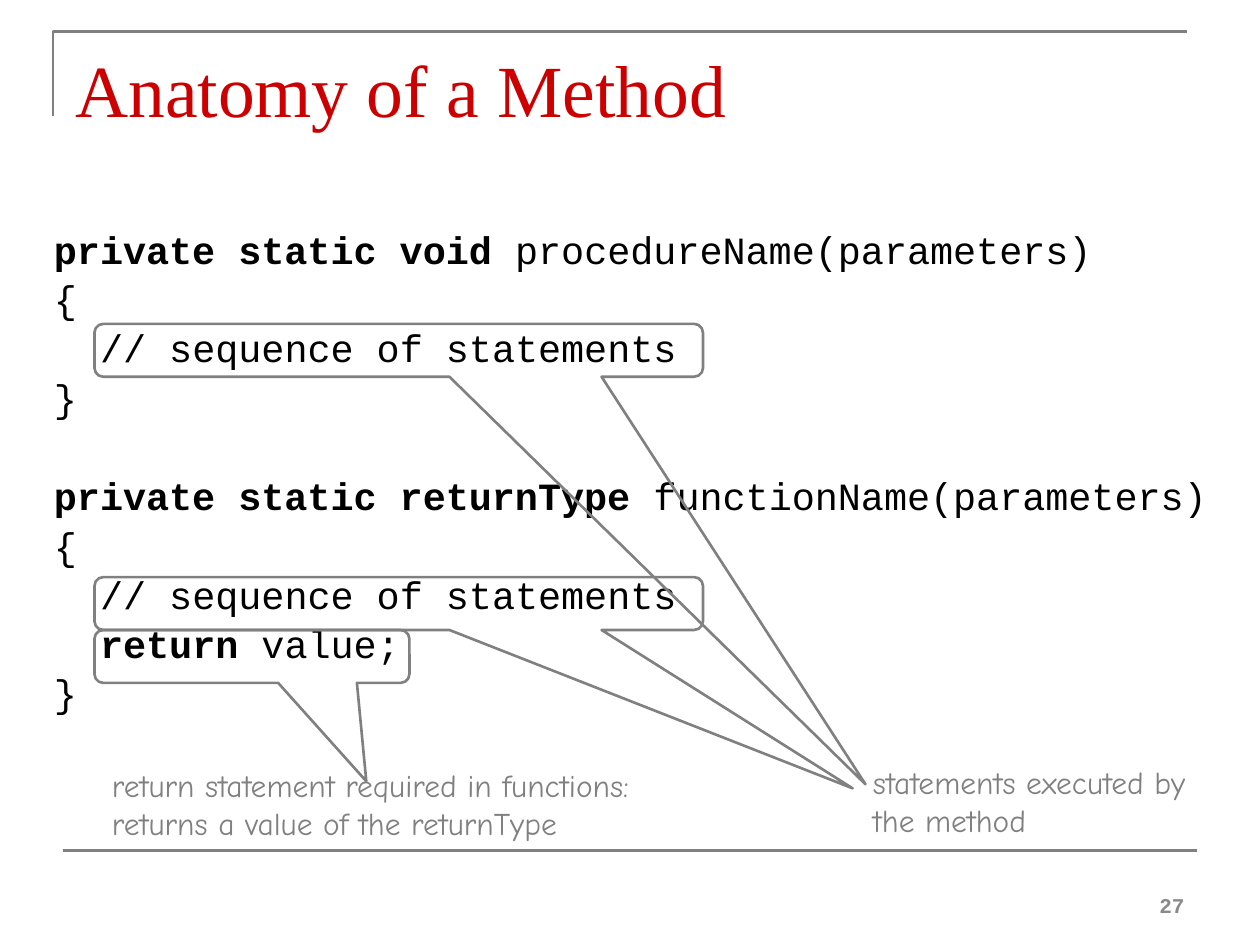
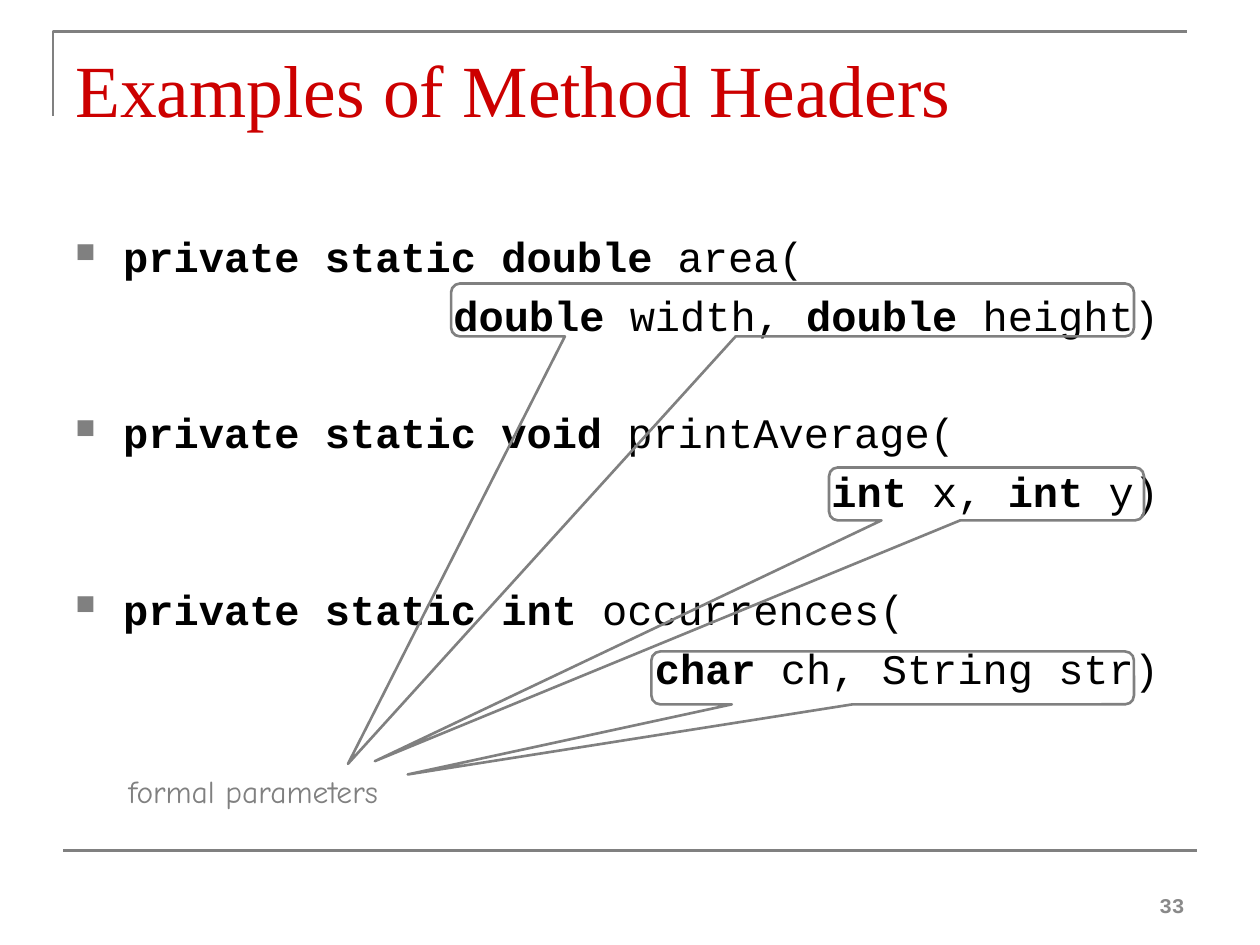
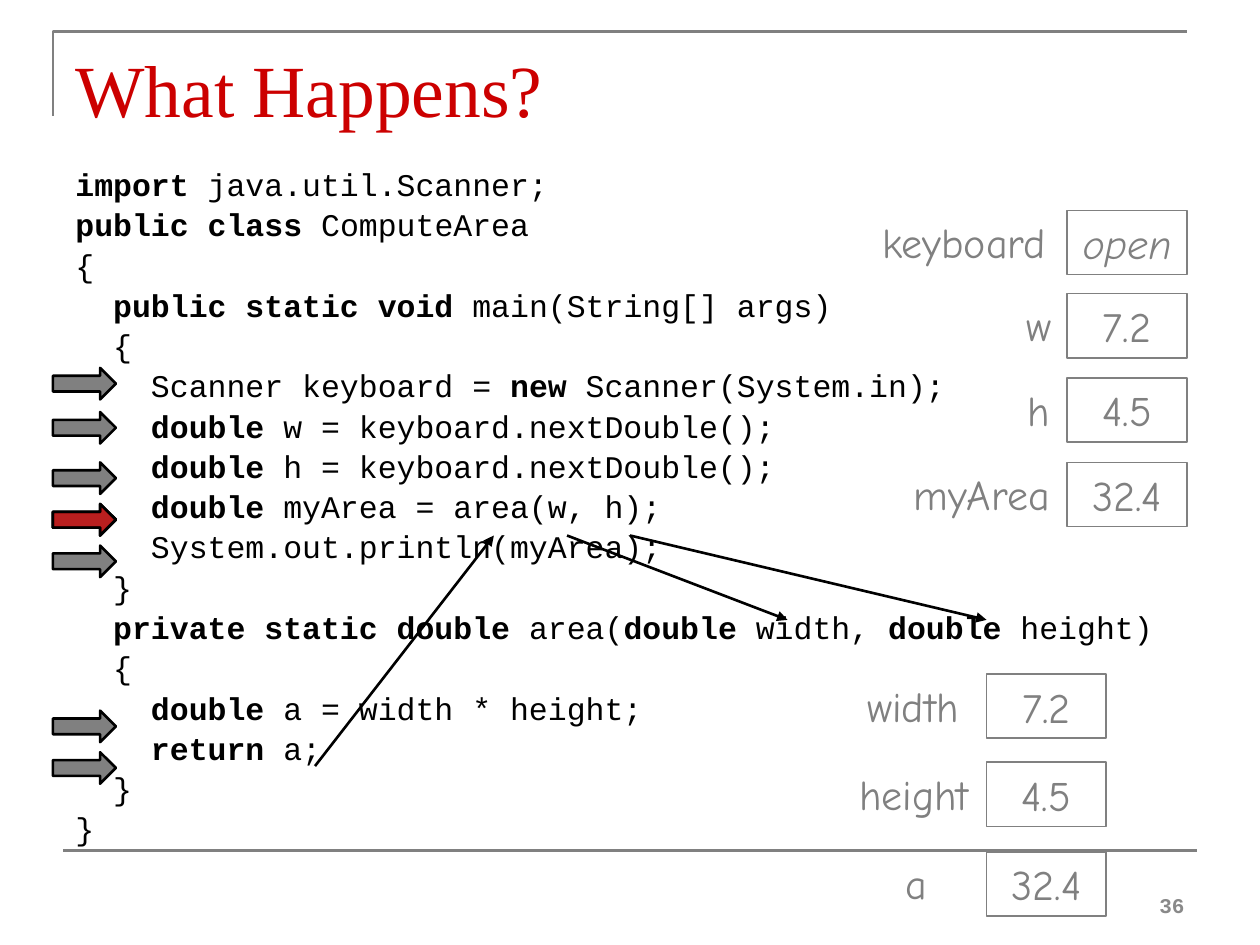
from lxml import etree
from pptx import Presentation
from pptx.dml.color import RGBColor
from pptx.enum.shapes import MSO_CONNECTOR, MSO_SHAPE
from pptx.enum.text import MSO_ANCHOR, PP_ALIGN
from pptx.oxml.ns import qn
from pptx.util import Inches, Pt

CALLOUT = MSO_SHAPE.ROUNDED_RECTANGULAR_CALLOUT
ARROW = MSO_SHAPE.RIGHT_ARROW
RECTANGLE = MSO_SHAPE.RECTANGLE
STRAIGHT = MSO_CONNECTOR.STRAIGHT
TOP, MIDDLE, BOTTOM = MSO_ANCHOR.TOP, MSO_ANCHOR.MIDDLE, MSO_ANCHOR.BOTTOM
LEFT, CENTER, RIGHT = PP_ALIGN.LEFT, PP_ALIGN.CENTER, PP_ALIGN.RIGHT

COLORS = {"title": "CC0000", "gray": "808080", "number": "898989", "black": "000000"}
CODE_FONT, NOTE_FONT, TITLE_FONT = "Courier New", "Comic Neue", "Times New Roman"
HANGING = 0.38

METHOD_CODE = """\
**private static void** procedureName(parameters)
{
  // sequence of statements
}

**private static returnType** functionName(parameters)
{
  // sequence of statements
  **return** value;
}"""

HEADER_CODE = """\
■ **private static double** area(
               **double** width, **double** height)

■ **private static void** printAverage(
                              **int** x, **int** y)

■ **private static int** occurrences(
                       **char** ch, String str)"""

AREA_CODE = """\
**import** java.util.Scanner;
**public class** ComputeArea
{
  **public static void** main(String[] args)
  {
    Scanner keyboard = **new** Scanner(System.in);
    **double** w = keyboard.nextDouble();
    **double** h = keyboard.nextDouble();
    **double** myArea = area(w, h);
    System.out.println(myArea);
  }
  **private static double** area(**double** width, **double** height)
  {
    **double** a = width * height;
    **return** a;
  }
}"""

PAGES = [
    {"title": "Anatomy of a Method", "number": "27", "code": METHOD_CODE,
     "area": (0.33, 1.75, 9.5, 4.92), "size": 22, "leading": 0.9,
     "callouts": [((0.75, 2.57, 4.83, 0.42), (0.767, 8.2)),
                  ((0.75, 4.58, 4.83, 0.42), (0.746, 3.492)),
                  ((0.75, 5, 2.5, 0.42), (0.363, 2.358))],
     "notes": [((6.83, 6.01, 3.04, 0.7), "statements executed by\nthe method"),
               ((0.79, 6.03, 4.81, 0.7),
                "return statement required in functions:\nreturns a value of the returnType")]},
    {"title": "Examples of Method Headers", "number": "33", "code": HEADER_CODE,
     "area": (0.5, 1.75, 9, 4.95), "size": 24, "leading": 1,
     "callouts": [((3.58, 2.25, 5.42, 0.42), (-0.651, 8.575)),
                  ((6.58, 3.71, 2.5, 0.42), (-1.942, 5.05)),
                  ((5.17, 5.17, 3.83, 0.42), (-1.005, 1.825))],
     "notes": [((0.92, 6.08, 2.38, 0.4), "formal parameters")]},
    {"title": "What Happens?", "number": "36", "code": AREA_CODE,
     "area": (0.5, 1.26, 9, 6), "size": 18, "leading": 0.9,
     "callouts": [], "notes": []},
]

VARIABLES = [
    ("keyboard", "open", 6.58, 2.14, 8.47, 1.67),
    ("w", "7.2", 7.77, 0.95, 8.47, 2.33),
    ("h", "4.5", 7.77, 0.95, 8.47, 3),
    ("myArea", "32.4", 7, 1.58, 8.47, 3.67),
    ("width", "7.2", 6.62, 1.25, 7.83, 5.35),
    ("height", "4.5", 6.42, 1.67, 7.83, 6.05),
    ("a", "32.4", 6.8, 0.95, 7.83, 6.76),
]


def add_text(page, area, text, font, size, color, align=LEFT, anchor=TOP):
    box = page.shapes.add_textbox(*map(Inches, area))
    frame = box.text_frame
    frame.word_wrap = True
    frame.vertical_anchor = anchor
    frame.text = text
    for para in frame.paragraphs:
        para.alignment = align
        para.font.name = font
        para.font.size = Pt(size)
        para.font.color.rgb = RGBColor.from_string(COLORS[color])
    return box


def outline(shape, color, width=1.5, fill=None):
    shape.shadow.inherit = False
    if fill:
        shape.fill.solid()
        shape.fill.fore_color.rgb = RGBColor.from_string(COLORS[fill])
    else:
        shape.fill.background()
    shape.line.color.rgb = RGBColor.from_string(COLORS[color])
    shape.line.width = Pt(width)


deck = Presentation()
deck.slide_width, deck.slide_height = Inches(10), Inches(7.5)

for content in PAGES:
    page = deck.slides.add_slide(deck.slide_layouts[6])

    builder = page.shapes.build_freeform(Inches(0.42), Inches(0.92))
    corner = [(Inches(0.42), Inches(0.25)), (Inches(9.42), Inches(0.25))]
    builder.add_line_segments(corner, close=False)
    outline(builder.convert_to_shape(), "gray")

    lines = [((0.5, 6.75, 9.5, 6.75), "gray", False)]
    if content["code"] == AREA_CODE:
        lines += [((4.5, 4.25, 6.25, 4.92), "black", True),
                  ((5, 4.25, 7.83, 4.92), "black", True),
                  ((2.5, 6.08, 3.92, 4.25), "black", True)]
    for ends, color, pointed in lines:
        line = page.shapes.add_connector(STRAIGHT, *map(Inches, ends))
        line.line.color.rgb = RGBColor.from_string(COLORS[color])
        line.line.width = Pt(1.5)
        if pointed:
            etree.SubElement(line.line._get_or_add_ln(), qn("a:tailEnd"), type="triangle")
        etree.SubElement(line._element.spPr, qn("a:effectLst"))

    add_text(page, (0.5, 0.3, 9, 1.25), content["title"], TITLE_FONT, 42, "title")

    size = content["size"]
    line_height = size * 1.2 * content["leading"]
    gap = size * 0.2
    rows = content["code"].split("\n")
    body = add_text(page, content["area"], "\n".join(row for row in rows if row),
                    CODE_FONT, size, "black")
    body.text_frame.margin_top = Inches(0.08)
    paragraphs = iter(body.text_frame.paragraphs)
    before = 0
    for row in rows:
        if not row:
            before += line_height + gap
            continue
        para = next(paragraphs)
        para.line_spacing = Pt(line_height)
        para.space_before = Pt(before)
        before = gap
        bulleted = row.startswith("■ ")
        code = row.removeprefix("■ ").lstrip()
        spaces = len(row) - len(row.lstrip())
        margin = HANGING if bulleted else spaces * 0.6 * size / 72
        properties = para._p.get_or_add_pPr()
        properties.set("marL", str(Inches(margin)))
        properties.set("indent", str(Inches(-HANGING if bulleted else 0)))
        if bulleted:
            bullet_color = etree.SubElement(properties, qn("a:buClr"))
            etree.SubElement(bullet_color, qn("a:srgbClr"), val=COLORS["gray"])
            etree.SubElement(properties, qn("a:buSzPct"), val="65000")
            etree.SubElement(properties, qn("a:buChar"), char="■")
            properties.append(properties.find(qn("a:defRPr")))
        para.clear()
        for index, part in enumerate(code.split("**")):
            if part:
                span = para.add_run()
                span.text = part
                span.font.bold = index % 2 == 1

    number = add_text(page, (7.17, 6.83, 2.33, 0.5), content["number"],
                      CODE_FONT, 12, "number", RIGHT, BOTTOM)
    number.text_frame.paragraphs[0].font.bold = True

    for area, tip in content["callouts"]:
        callout = page.shapes.add_shape(CALLOUT, *map(Inches, area))
        outline(callout, "gray")
        callout.adjustments[0], callout.adjustments[1] = tip
        callout.adjustments[2] = 0.167
    for area, text in content["notes"]:
        add_text(page, area, text, NOTE_FONT, 18, "gray")

for label, value, label_left, label_width, value_left, top in VARIABLES:
    add_text(page, (label_left, top, label_width, 0.5), label, NOTE_FONT, 24, "gray", CENTER)
    cell_area = (value_left, top, 0.95, 0.51)
    outline(page.shapes.add_shape(RECTANGLE, *map(Inches, cell_area)), "gray", 1)
    cell = add_text(page, cell_area, value, NOTE_FONT, 24, "gray", CENTER, MIDDLE)
    cell.text_frame.paragraphs[0].font.italic = value == "open"

steps = [(top, "gray") for top in (2.92, 3.27, 3.67, 4, 4.33, 5.64, 5.97)]
for top, fill in steps + [(4, "title")] * 2:
    arrow = page.shapes.add_shape(ARROW, *map(Inches, (0.42, top, 0.5, 0.25)))
    outline(arrow, "black", fill=fill)
    if fill == "title":
        fill_color = next(arrow._element.spPr.iter(qn("a:srgbClr")))
        etree.SubElement(fill_color, qn("a:alpha"), val="50000")

deck.save("out.pptx")
